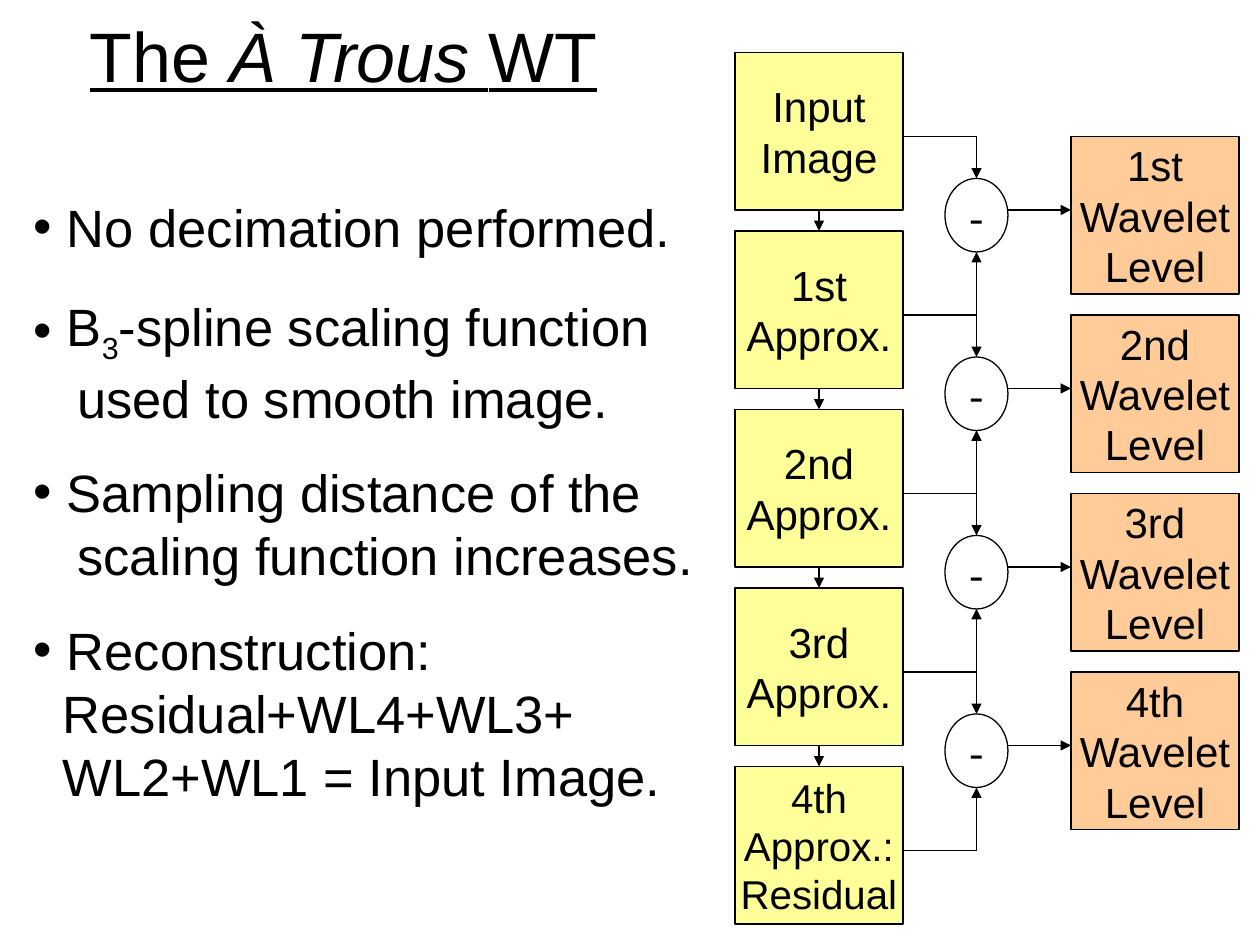
from dataclasses import dataclass

from lxml import etree
from pptx import Presentation
from pptx.dml.color import RGBColor
from pptx.enum.shapes import MSO_CONNECTOR, MSO_SHAPE
from pptx.enum.text import MSO_ANCHOR, MSO_AUTO_SIZE, PP_ALIGN
from pptx.oxml.ns import qn
from pptx.util import Pt

RECT, OVAL = MSO_SHAPE.RECTANGLE, MSO_SHAPE.OVAL
LINE = MSO_CONNECTOR.STRAIGHT
TOP, MIDDLE = MSO_ANCHOR.TOP, MSO_ANCHOR.MIDDLE
CENTER, LEFT = PP_ALIGN.CENTER, PP_ALIGN.LEFT
FIXED = MSO_AUTO_SIZE.NONE

BLACK, WHITE, YELLOW, ORANGE = "000000", "FFFFFF", "FFFF99", "FFCC99"
SANS, SERIF = "Arial", "Times New Roman"
PITCH = 102
BOX_W, BOX_H = 96, 90
SUB_W, SUB_H = 36, 42
LEFT_X, SUB_X, RIGHT_X = 420, 540, 612
LEFT_Y, SUB_Y, RIGHT_Y, OUT_Y = 30, 102, 78, 120


@dataclass
class Node:
    kind: int
    x: float
    y: float
    w: float
    h: float
    fill: str
    lines: list[str]
    size: float = 24
    font: str = SANS


@dataclass
class Link:
    x1: float
    y1: float
    x2: float
    y2: float
    arrow: bool = True


@dataclass
class Item:
    words: list[str]
    indent: float
    bullet: bool = False
    space: float = 1.0


def color(code: str) -> RGBColor:
    return RGBColor.from_string(code)


def add_run(para, text: str, size: float, font: str = SANS):
    run = para.add_run()
    run.text = text
    run.font.size = Pt(size)
    run.font.name = font
    run.font.color.rgb = color(BLACK)
    return run


def place(shape, x: float, y: float, w: float, h: float) -> None:
    shape.left, shape.top, shape.width, shape.height = Pt(x), Pt(y), Pt(w), Pt(h)
    shape.text_frame.auto_size = FIXED
    shape.text_frame.vertical_anchor = TOP


def draw_title(title) -> None:
    place(title, 42.5, 3.6, 307.5, 55.4)
    title.text_frame.word_wrap = False
    para = title.text_frame.paragraphs[0]
    para.alignment = CENTER
    for text, slant in (("The ", False), ("À Trous ", True), ("WT", False)):
        run = add_run(para, text, 40)
        run.font.underline = True
        run.font.italic = slant


def draw_list(body, items: list[Item]) -> None:
    place(body, 12, 108, 402, 357)
    frame = body.text_frame
    for i, item in enumerate(items):
        para = frame.add_paragraph() if i else frame.paragraphs[0]
        para.alignment = LEFT
        para.line_spacing = item.space
        para.space_before = Pt(0)
        props = para._p.get_or_add_pPr()
        props.set("marL", str(Pt(item.indent)))
        props.set("indent", str(-Pt(item.indent) if item.bullet else 0))
        if not item.bullet:
            etree.SubElement(props, qn("a:buNone"))
        for j, text in enumerate(item.words):
            run = add_run(para, text, 30)
            if j == 1:
                run._r.get_or_add_rPr().set("baseline", "-25000")


def draw_node(shapes, node: Node) -> None:
    shape = shapes.add_shape(node.kind, Pt(node.x), Pt(node.y), Pt(node.w), Pt(node.h))
    shape.shadow.inherit = False
    shape.fill.solid()
    shape.fill.fore_color.rgb = color(node.fill)
    shape.line.color.rgb = color(BLACK)
    shape.line.width = Pt(0.75)
    frame = shape.text_frame
    frame.word_wrap = False
    frame.vertical_anchor = MIDDLE
    for i, text in enumerate(node.lines):
        para = frame.add_paragraph() if i else frame.paragraphs[0]
        para.alignment = CENTER
        add_run(para, text, node.size, node.font)


def draw_link(shapes, link: Link) -> None:
    line = shapes.add_connector(LINE, Pt(link.x1), Pt(link.y1), Pt(link.x2), Pt(link.y2))
    line.line.color.rgb = color(BLACK)
    line.line.width = Pt(0.75)
    props = line._element.spPr
    if link.arrow:
        etree.SubElement(props.find(qn("a:ln")), qn("a:tailEnd"), type="triangle")
    etree.SubElement(props, qn("a:effectLst"))


def draw_flow(shapes) -> None:
    ranks = ["1st", "2nd", "3rd", "4th"]
    stages = [["Input", "Image"]] + [[rank, "Approx."] for rank in ranks[:3]]
    stages.append(["4th", "Approx.:", "Residual"])
    mid = LEFT_X + BOX_W / 2
    stem = SUB_X + SUB_W / 2
    for i, lines in enumerate(stages):
        step = i * PITCH
        size = 23 if len(lines) == 3 else 24
        draw_node(shapes, Node(RECT, LEFT_X, LEFT_Y + step, BOX_W, BOX_H, YELLOW, lines, size))
        draw_link(shapes, Link(LEFT_X + BOX_W, RIGHT_Y + step, stem, RIGHT_Y + step, False))
    for i, rank in enumerate(ranks):
        step = i * PITCH
        top, out, turn = SUB_Y + step, OUT_Y + step, RIGHT_Y + step
        low = LEFT_Y + BOX_H + step
        draw_node(shapes, Node(OVAL, SUB_X, top, SUB_W, SUB_H, WHITE, ["-"], font=SERIF))
        draw_node(shapes, Node(RECT, RIGHT_X, turn, BOX_W, BOX_H, ORANGE, [rank, "Wavelet", "Level"]))
        draw_link(shapes, Link(mid, low, mid, LEFT_Y + PITCH + step))
        draw_link(shapes, Link(stem, turn, stem, top))
        draw_link(shapes, Link(stem, turn + PITCH, stem, top + SUB_H))
        draw_link(shapes, Link(SUB_X + SUB_W, out, RIGHT_X, out))


def main() -> None:
    deck = Presentation()
    deck.slide_width, deck.slide_height = Pt(720), Pt(540)
    slide = deck.slides.add_slide(deck.slide_layouts[1])
    draw_title(slide.shapes.title)
    draw_list(slide.placeholders[1], [
        Item(["No decimation performed."], 19, True),
        Item(["B", "3", "-spline scaling function"], 19, True, 1.5),
        Item(["used to smooth image."], 25),
        Item(["Sampling distance of the"], 19, True, 1.5),
        Item(["scaling function increases."], 25),
        Item(["Reconstruction:"], 19, True, 1.5),
        Item(["Residual+WL4+WL3+"], 16.7),
        Item(["WL2+WL1 = Input Image."], 16.7),
    ])
    draw_flow(slide.shapes)
    deck.save("out.pptx")


if __name__ == "__main__":
    main()
